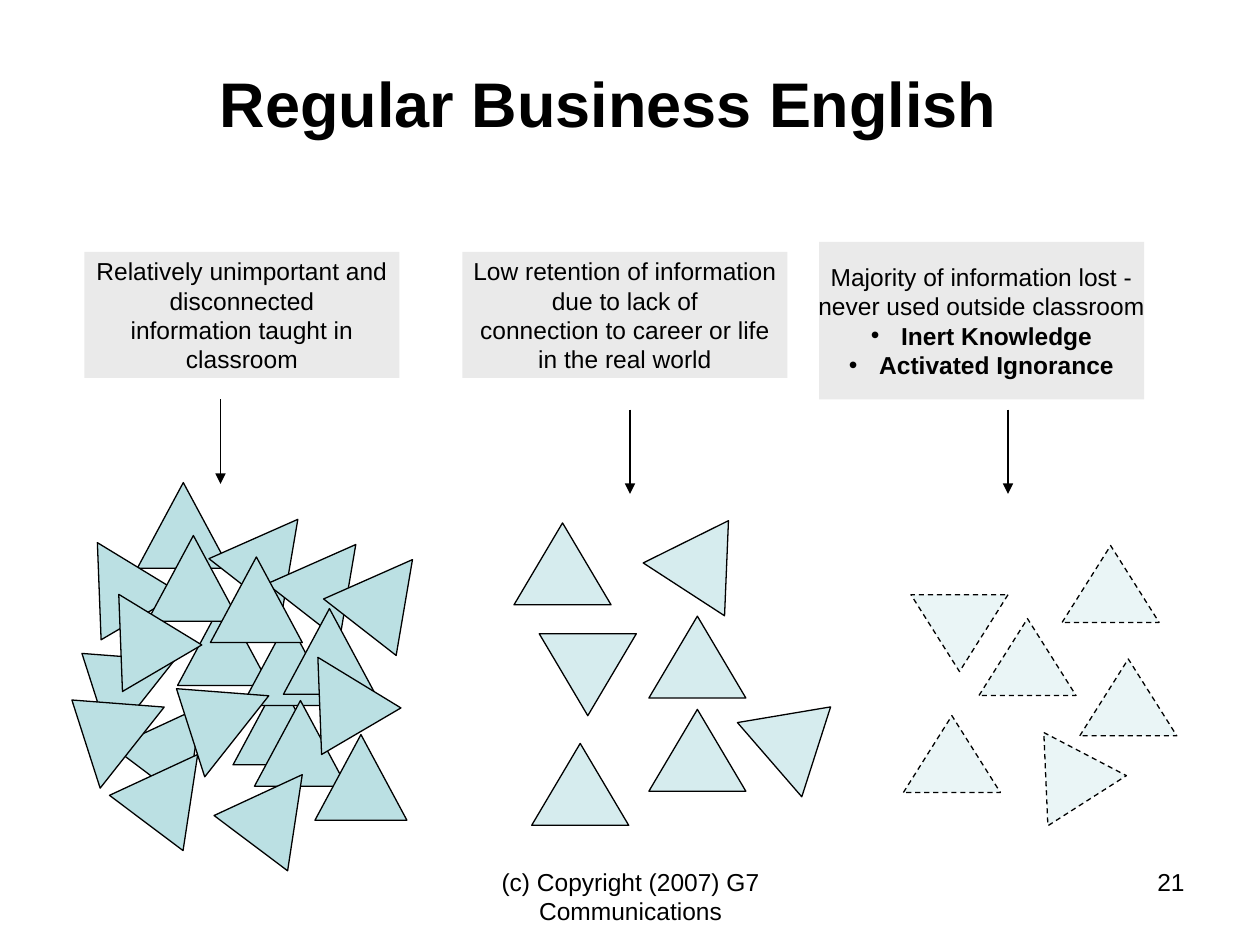
from dataclasses import dataclass

from lxml.etree import SubElement
from pptx import Presentation
from pptx.dml.color import RGBColor
from pptx.enum.dml import MSO_LINE
from pptx.enum.shapes import MSO_CONNECTOR, MSO_SHAPE
from pptx.enum.text import MSO_ANCHOR as Anchor, PP_ALIGN as Align
from pptx.oxml.ns import qn
from pptx.util import Inches, Pt


@dataclass(frozen=True)
class Theme:
    font: str = "Arial"
    ink: RGBColor = RGBColor(0x00, 0x00, 0x00)
    panel: RGBColor = RGBColor(0xEA, 0xEA, 0xEA)
    piece: RGBColor = RGBColor(0xBB, 0xE0, 0xE3)
    title_size: int = 36
    body_size: int = 14
    line_width: float = 0.75


THEME = Theme()

UPRIGHT, LEANING, POINTING_LEFT, POINTING_RIGHT, TIPPED = 0, 36.9, 37.9, 329.6, 308.3

# Pieces are (left, top, rotation), from back to front.
TAUGHT = [
    (1.09, 3.83, UPRIGHT), (1.41, 4.76, UPRIGHT), (1.03, 5.54, LEANING),
    (0.48, 5.07, TIPPED), (1.85, 5.39, UPRIGHT), (0.58, 4.26, POINTING_RIGHT),
    (1.79, 4.05, POINTING_LEFT), (1.17, 4.25, UPRIGHT), (1.92, 4.92, UPRIGHT),
    (1.00, 5.92, LEANING), (0.40, 5.44, TIPPED), (2.02, 5.56, UPRIGHT),
    (0.75, 4.67, POINTING_RIGHT), (2.25, 4.25, POINTING_LEFT), (1.67, 4.42, UPRIGHT),
    (2.25, 4.83, UPRIGHT), (1.83, 6.08, LEANING), (1.23, 5.35, TIPPED),
    (2.50, 5.83, UPRIGHT), (2.33, 5.17, POINTING_RIGHT), (2.70, 4.37, POINTING_LEFT),
]
RETAINED = [
    (5.96, 5.50, 49.1), (4.28, 5.03, 180), (5.15, 4.89, 0), (4.08, 4.15, 0),
    (4.22, 5.90, 0), (5.15, 5.63, 0), (5.22, 4.08, 33),
]
LOST = [
    (8.43, 4.33, 0), (8.57, 5.23, 0), (8.25, 5.85, 87.5),
    (7.17, 5.68, 0), (7.77, 4.91, 0), (7.23, 4.72, 180),
]

# Statements are (left, top, width, height), plain lines, bulleted lines.
STATEMENTS = [
    ((0.67, 2, 2.5, 1),
     ["Relatively unimportant and", "disconnected",
      "information taught in", "classroom"], []),
    ((3.67, 2, 2.58, 1),
     ["Low retention of information", "due to lack of",
      "connection to career or life", "in the real world"], []),
    ((6.5, 1.92, 2.58, 1.25),
     ["Majority of information lost -", "never used outside classroom"],
     ["Inert Knowledge", "Activated Ignorance"]),
]
ARROWS = [(1.75, 3.17), (5, 3.25), (8, 3.25)]
ARROW_LENGTH = 0.67


def add_bullet(paragraph, indent=0.24):
    properties = paragraph._p.get_or_add_pPr()
    properties.set("marL", str(Inches(indent)))
    properties.set("indent", str(-Inches(indent)))
    SubElement(properties, qn("a:buFont"), typeface=THEME.font)
    SubElement(properties, qn("a:buChar"), char="•")


def write(frame, lines, size=THEME.body_size, bold=False, align=Align.CENTER,
          bullet=False, append=False):
    """Write one paragraph per line, after the existing ones if append is set."""
    for index, line in enumerate(lines):
        is_new = append or index > 0
        paragraph = frame.add_paragraph() if is_new else frame.paragraphs[0]
        paragraph.alignment = align
        if bullet:
            add_bullet(paragraph)
        run = paragraph.add_run()
        run.text = line
        run.font.name = THEME.font
        run.font.size = Pt(size)
        run.font.bold = bold
        run.font.color.rgb = THEME.ink


def add_label(slide, box, text, anchor=Anchor.TOP, **text_format):
    frame = slide.shapes.add_textbox(*map(Inches, box)).text_frame
    frame.word_wrap = True
    frame.vertical_anchor = anchor
    write(frame, [text], **text_format)
    return frame


def add_statement(slide, box, lines, bullets):
    panel = slide.shapes.add_shape(MSO_SHAPE.RECTANGLE, *map(Inches, box))
    panel.shadow.inherit = False
    panel.fill.solid()
    panel.fill.fore_color.rgb = THEME.panel
    panel.line.fill.background()
    frame = panel.text_frame
    frame.word_wrap = False
    frame.vertical_anchor = Anchor.MIDDLE
    write(frame, lines)
    write(frame, bullets, bold=True, bullet=True, append=True)


def add_arrow(slide, x, top):
    arrow = slide.shapes.add_connector(
        MSO_CONNECTOR.STRAIGHT,
        Inches(x), Inches(top), Inches(x), Inches(top + ARROW_LENGTH))
    arrow.line.color.rgb = THEME.ink
    arrow.line.width = Pt(THEME.line_width)
    SubElement(arrow.line._get_or_add_ln(), qn("a:tailEnd"), type="triangle")
    SubElement(arrow._element.spPr, qn("a:effectLst"))


def add_pieces(slide, pieces, size, odd_sizes, opacity=100, dashed=False):
    """Group triangles of one size; odd_sizes maps a rotation to another size."""
    group = slide.shapes.add_group_shape()
    for left, top, rotation in pieces:
        width, height = odd_sizes.get(rotation, size)
        piece = group.shapes.add_shape(
            MSO_SHAPE.ISOSCELES_TRIANGLE,
            Inches(left), Inches(top), Inches(width), Inches(height))
        piece.rotation = rotation
        piece.shadow.inherit = False
        piece.fill.solid()
        piece.fill.fore_color.rgb = THEME.piece
        if opacity < 100:
            color = piece._element.spPr.find(qn("a:solidFill")).find(qn("a:srgbClr"))
            SubElement(color, qn("a:alpha"), val=str(opacity * 1000))
        piece.line.color.rgb = THEME.ink
        piece.line.width = Pt(THEME.line_width)
        if dashed:
            piece.line.dash_style = MSO_LINE.DASH


def main():
    deck = Presentation()
    deck.slide_width, deck.slide_height = Inches(10), Inches(7.5)
    slide = deck.slides.add_slide(deck.slide_layouts[6])

    add_label(slide, (3.42, 6.83, 3.17, 0.52), "(c) Copyright (2007) G7 Communications")
    add_label(slide, (7.17, 6.83, 2.33, 0.52), "21", align=Align.RIGHT)

    add_pieces(slide, RETAINED, (0.77, 0.65), {49.1: (0.78, 0.64)}, opacity=60)
    add_pieces(slide, LOST, (0.77, 0.61), {87.5: (0.74, 0.64)}, opacity=30, dashed=True)
    add_pieces(slide, TAUGHT, (0.73, 0.68), {TIPPED: (0.82, 0.61)})

    for box, lines, bullets in STATEMENTS:
        add_statement(slide, box, lines, bullets)
    for x, top in ARROWS:
        add_arrow(slide, x, top)

    title = add_label(slide, (0.5, 0.3, 9, 0.95), "Regular Business English",
                      anchor=Anchor.MIDDLE, size=THEME.title_size, bold=True)
    title.margin_right = Inches(0.44)
    title.margin_top = Inches(0.12)

    deck.save("out.pptx")


if __name__ == "__main__":
    main()
